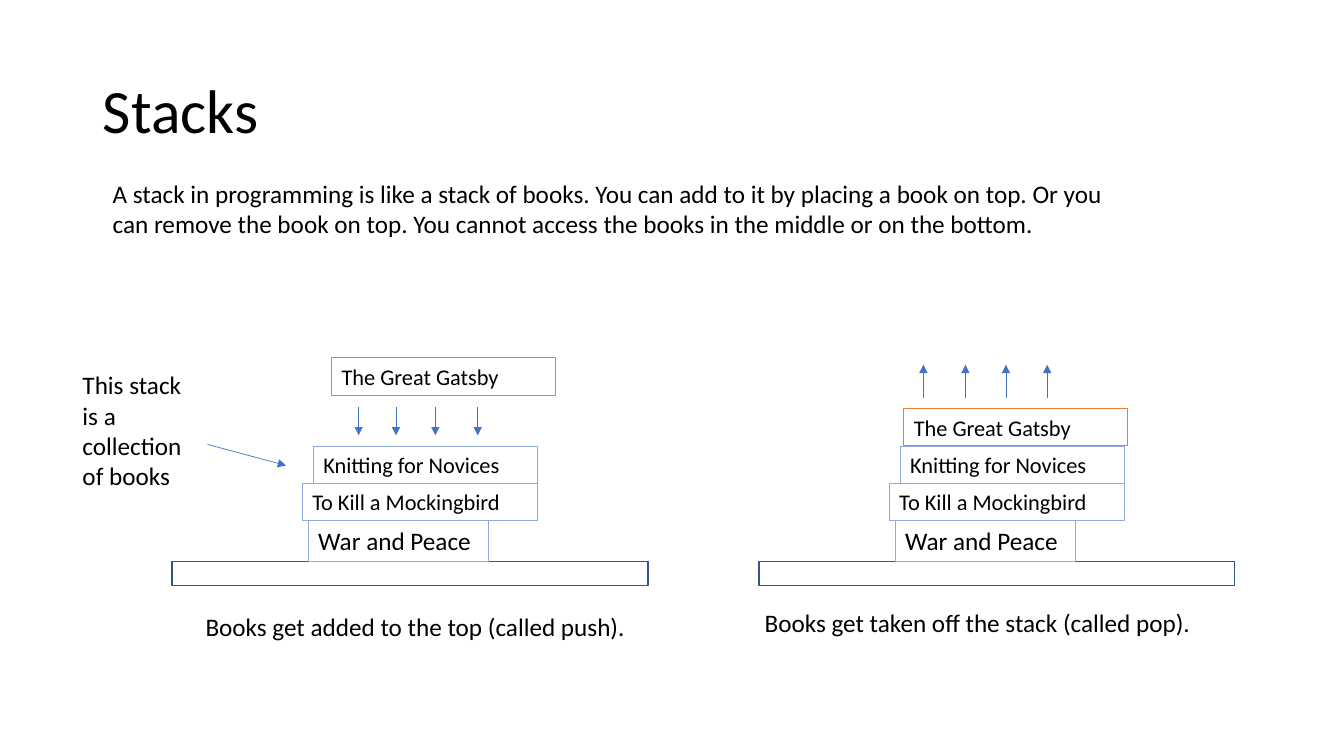
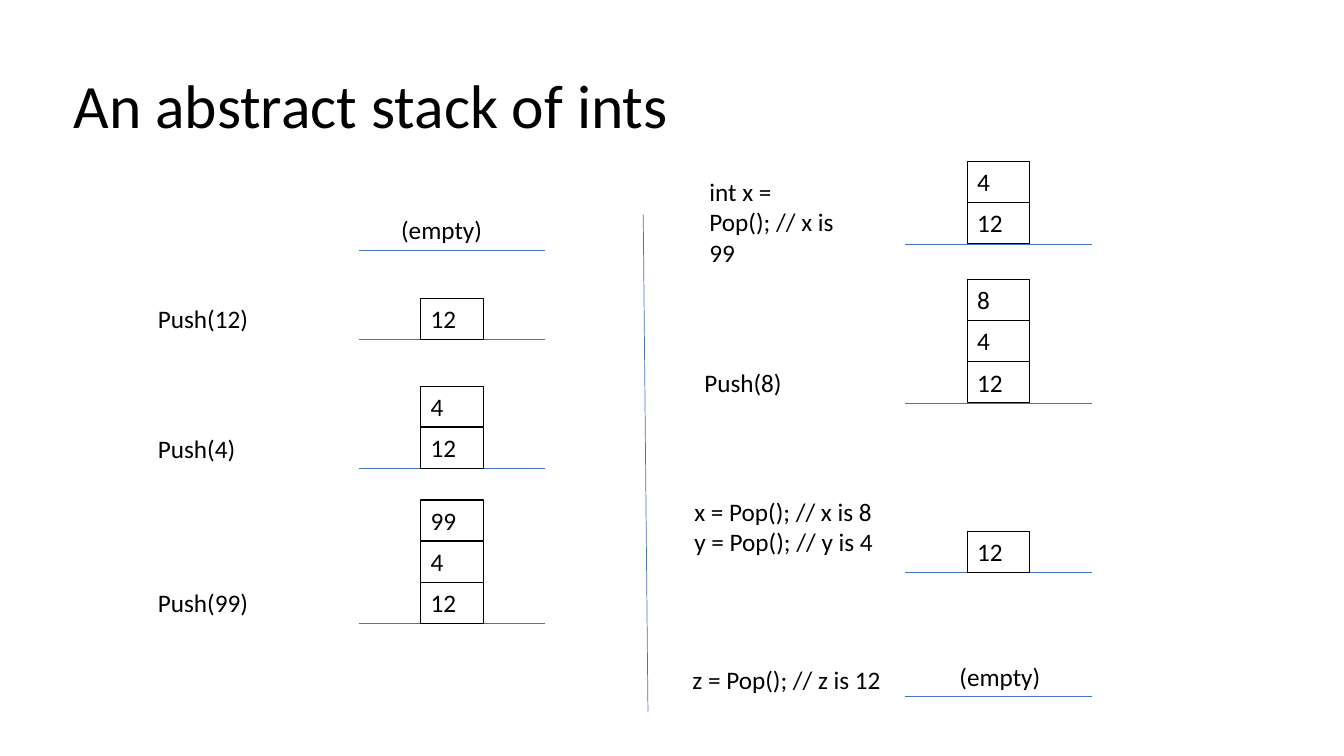
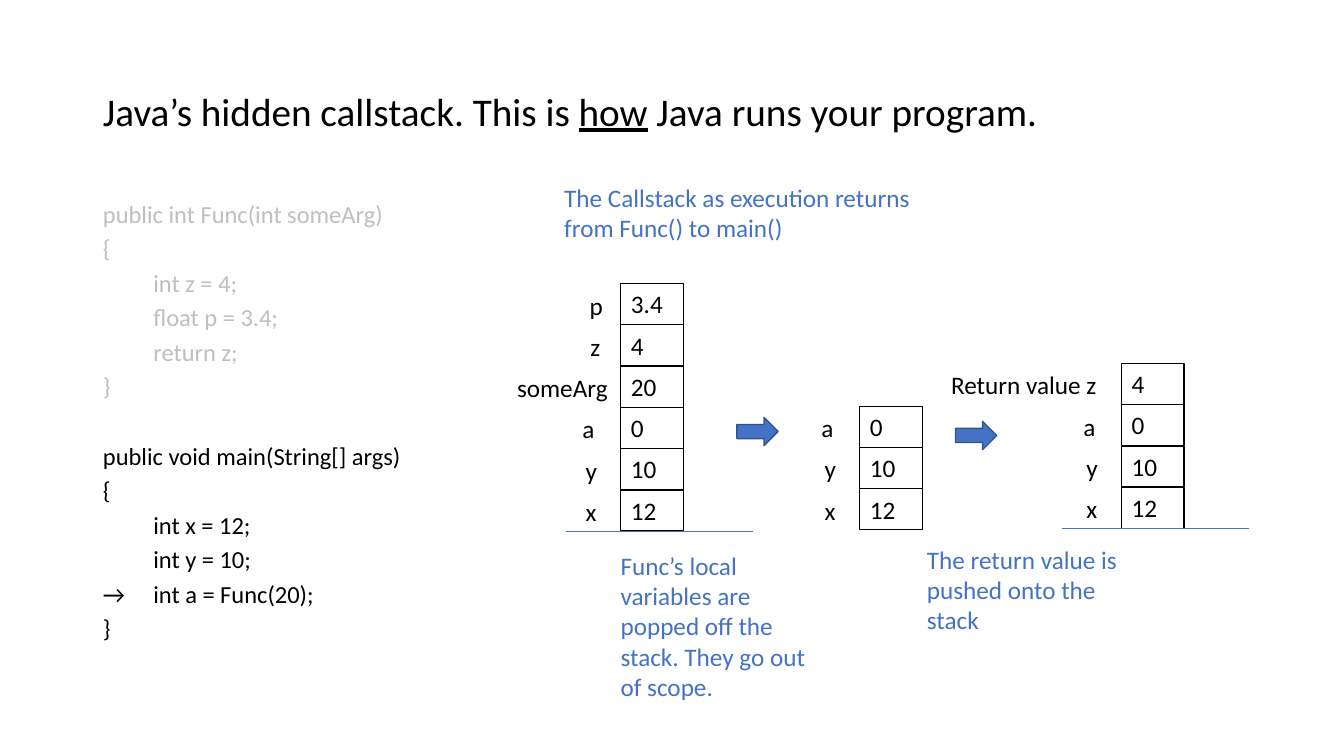
from dataclasses import dataclass

from lxml import etree
from pptx import Presentation
from pptx import util as u
from pptx.dml.color import RGBColor
from pptx.enum import shapes, text
from pptx.oxml.ns import qn


@dataclass(frozen=True)
class Theme:
    font: str = "Calibri"
    # Colours
    black: str = "000000"
    grey: str = "BFBFBF"
    blue: str = "4472C4"
    dark_blue: str = "325491"
    light_blue: str = "8FAADC"
    orange: str = "ED7D31"
    # Type sizes in points
    title: float = 44
    long_title: float = 28
    body: float = 18
    book: float = 16
    code: float = 17.5
    # Line widths in points
    thin: float = 0.5
    edge: float = 0.75
    bold: float = 1


# Stack measures in centimetres
CELL_WIDTH, CELL_HEIGHT, CELL_PITCH = 1.57, 1.03, 1.04
LEDGE_WIDTH = 4.7
LEDGE_INSET = (LEDGE_WIDTH - CELL_WIDTH) / 2


class Deck:
    """Holds the style and the current slide."""

    def __init__(self, theme):
        self.theme = theme
        self.presentation = Presentation()
        self.presentation.slide_width = u.Cm(33.87)
        self.presentation.slide_height = u.Cm(19.05)
        self.slide = None

    # Text
    def add_runs(self, paragraph, runs, size, color):
        for content, underlined in runs:
            run = paragraph.add_run()
            run.text = content
            run.font.name = self.theme.font
            run.font.size = u.Pt(size)
            run.font.color.rgb = RGBColor.from_string(color)
            if underlined:
                run.font.underline = True

    def fill_frame(self, frame, lines, size, color):
        frame.word_wrap = True
        frame.vertical_anchor = text.MSO_ANCHOR.TOP
        frame.auto_size = text.MSO_AUTO_SIZE.SHAPE_TO_FIT_TEXT
        for index, line in enumerate(lines):
            paragraph = frame.add_paragraph() if index else frame.paragraphs[0]
            paragraph.alignment = text.PP_ALIGN.LEFT
            self.add_runs(paragraph, [(line, False)], size, color)

    def label(self, lines, left, top, width, height=CELL_HEIGHT, color=None):
        shape = self.slide.shapes.add_textbox(*map(u.Cm, (left, top, width, height)))
        self.fill_frame(shape.text_frame, lines, self.theme.body, color or self.theme.black)

    # Placeholders
    def place(self, placeholder, left, top, width, height):
        placeholder.left, placeholder.top = u.Cm(left), u.Cm(top)
        placeholder.width, placeholder.height = u.Cm(width), u.Cm(height)
        placeholder.text_frame.word_wrap = True
        placeholder.text_frame.auto_size = text.MSO_AUTO_SIZE.NONE

    def new_slide(self, runs, left=2.34, top=1.02, size=None, with_body=False):
        layout = self.presentation.slide_layouts[1 if with_body else 5]
        self.slide = self.presentation.slides.add_slide(layout)
        title = self.slide.shapes.title
        self.place(title, left, top, 29.21, 3.68)
        title.text_frame.vertical_anchor = text.MSO_ANCHOR.MIDDLE
        paragraph = title.text_frame.paragraphs[0]
        paragraph.alignment = text.PP_ALIGN.LEFT
        paragraph.line_spacing = 0.9
        self.add_runs(paragraph, runs, size or self.theme.title, self.theme.black)

    def code(self, blocks, left, top, width, height):
        body = self.slide.placeholders[1]
        self.place(body, left, top, width, height)
        frame = body.text_frame
        frame.vertical_anchor = text.MSO_ANCHOR.TOP
        paragraph = frame.paragraphs[0]
        for block_index, (color, lines) in enumerate(blocks):
            for line_index, line in enumerate(lines):
                if block_index or line_index:
                    paragraph = frame.add_paragraph()
                paragraph.alignment = text.PP_ALIGN.LEFT
                paragraph.line_spacing = 0.7
                opens_block = block_index and not line_index
                paragraph.space_before = u.Pt(34.7 if opens_block else 10)
                # No bullet, no indent, one tab stop
                properties = paragraph._p.get_or_add_pPr()
                properties.set("marL", "0")
                properties.set("indent", "0")
                etree.SubElement(properties, qn("a:buNone"))
                tabs = etree.SubElement(properties, qn("a:tabLst"))
                etree.SubElement(tabs, qn("a:tab"), pos=str(u.Cm(2.54)), algn="l")
                self.add_runs(paragraph, [(line, False)], self.theme.code, color)

    # Shapes and lines
    def shape(self, kind, left, top, width, height, line, weight, fill=None):
        shape = self.slide.shapes.add_shape(kind, *map(u.Cm, (left, top, width, height)))
        shape.shadow.inherit = False
        if fill:
            shape.fill.solid()
            shape.fill.fore_color.rgb = RGBColor.from_string(fill)
        else:
            shape.fill.background()
        shape.line.color.rgb = RGBColor.from_string(line)
        shape.line.width = u.Pt(weight)
        return shape

    def box(self, content, left, top, width, height, line, size):
        shape = self.shape(shapes.MSO_SHAPE.RECTANGLE, left, top, width, height,
                           line, self.theme.edge)
        self.fill_frame(shape.text_frame, [content], size, self.theme.black)

    def block_arrow(self, left, top):
        self.shape(shapes.MSO_SHAPE.RIGHT_ARROW, left, top, 1.04, 0.71,
                   self.theme.dark_blue, self.theme.bold, self.theme.blue)

    def line(self, start, end, arrow=False):
        connector = self.slide.shapes.add_connector(
            shapes.MSO_CONNECTOR.STRAIGHT, *map(u.Cm, (*start, *end)))
        connector.line.color.rgb = RGBColor.from_string(self.theme.blue)
        connector.line.width = u.Pt(self.theme.thin)
        properties = connector._element.spPr
        if arrow:
            etree.SubElement(properties.find(qn("a:ln")), qn("a:tailEnd"), type="triangle")
        etree.SubElement(properties, qn("a:effectLst"))

    # Stacks
    def ledge(self, left, base):
        self.line((left, base), (left + LEDGE_WIDTH, base))

    def stack(self, values, left, base):
        """Piles cells upward from the base, bottom value first."""
        for level, value in enumerate(values, 1):
            self.box(value, left, base - level * CELL_PITCH, CELL_WIDTH, CELL_HEIGHT,
                     self.theme.black, self.theme.body)

    def bookshelf(self, left, books):
        """Piles books (title, inset, width, height, colour, size) on a shelf."""
        top = 14.15
        self.shape(shapes.MSO_SHAPE.RECTANGLE, left, top, 11.99, 0.61,
                   self.theme.dark_blue, self.theme.bold)
        for title, inset, width, height, color, size in books:
            top -= height
            self.box(title, left + inset, top, width, height, color, size)


def books_slide(deck):
    theme = deck.theme
    deck.new_slide([("Stacks", False)])
    deck.label(["A stack in programming is like a stack of books. You can add to it by "
                "placing a book on top. Or you can remove the book on top. You cannot "
                "access the books in the middle or on the bottom."], 2.59, 4.37, 26.06, 1.8)

    # Shelves
    books = [("War and Peace", 3.43, 4.55, 1.03, theme.light_blue, theme.body),
             ("To Kill a Mockingbird", 3.28, 5.92, 0.94, theme.light_blue, theme.book),
             ("Knitting for Novices", 3.56, 5.64, 0.94, theme.light_blue, theme.book)]
    top_book = ("The Great Gatsby", 3.65, 5.64, 0.94, theme.orange, theme.book)
    deck.bookshelf(4.34, books)
    deck.bookshelf(19.13, books + [top_book])
    deck.box("The Great Gatsby", 8.36, 9.02, 5.64, 0.94, theme.orange, theme.book)

    # Push and pop arrows
    for columns, start, end in (((9.04, 9.98, 10.97, 12.04), 10.26, 10.97),
                                ((23.27, 24.33, 25.35, 26.39), 10.03, 9.19)):
        for x in columns:
            deck.line((x, start), (x, end), arrow=True)

    # Captions
    deck.label(["This stack is a collection of books"], 1.83, 9.19, 3.25, 3.33)
    deck.line((5.23, 11.2), (7.21, 11.73), arrow=True)
    deck.label(["Books get added to the top (called push)."], 4.93, 15.29, 12.07)
    deck.label(["Books get taken off the stack (called pop)."], 19.02, 15.19, 12.07)


def ints_slide(deck):
    deck.new_slide([("An abstract stack of ints", False)], left=1.6, top=0.89)
    deck.line((16.21, 5.41), (16.33, 17.93))

    # Ledges with their stacks, bottom value first
    columns = [(9.04, [(6.3, []), (8.56, ["12"]), (11.81, ["12", "4"]),
                       (15.72, ["12", "4", "99"])]),
               (22.81, [(6.15, ["12", "4"]), (10.16, ["12", "4", "8"]),
                        (14.43, ["12"]), (17.55, [])])]
    for left, states in columns:
        for base, values in states:
            deck.ledge(left, base)
            deck.stack(values, left + LEDGE_INSET, base)
    deck.label(["(empty)"], 9.86, 5.28, 2.77)
    deck.label(["(empty)"], 23.93, 16.54, 2.77)

    # Calls
    for call, top in (("Push(12)", 7.52), ("Push(4)", 10.8), ("Push(99)", 14.68)):
        deck.label([call], 3.73, top, 4.27)
    deck.label(["int x = Pop(); // x is 99"], 17.63, 4.32, 4.27, 1.8)
    deck.label(["Push(8)"], 17.5, 9.12, 4.27)
    deck.label(["x = Pop(); // x is 8", "y = Pop(); // y is 4"], 17.25, 12.37, 5.31, 1.8)
    deck.label(["z = Pop(); // z is 12"], 17.2, 16.61, 5.31)


def callstack_slide(deck):
    theme = deck.theme
    deck.new_slide([("Java’s hidden callstack. This is ", False), ("how", True),
                    (" Java runs your program.", False)],
                   size=theme.long_title, with_body=True)
    deck.code([(theme.grey, ["public int Func(int someArg)", "{", "\tint z = 4;",
                             "\tfloat p = 3.4;", "\treturn z;", "}"]),
               (theme.black, ["public void main(String[] args)", "{", "\tint x = 12;",
                              "\tint y = 10;", "→\tint a = Func(20);", "}"])],
              2.34, 5.08, 14.17, 12.09)

    # Stacks with variable names: distance left of the cell, label width
    names = {"x": (1.14, 1.57), "y": (1.14, 1.57), "a": (1.22, 1.57),
             "someArg": (2.87, 3.23), "z": (1.02, 1.57), "p": (1.04, 1.57),
             "Return value z": (4.55, 4.24)}
    main_frame = [("x", "12"), ("y", "10"), ("a", "0")]
    func_frame = [("someArg", "20"), ("z", "4"), ("p", "3.4")]
    for left, base, variables in ((15.65, 13.39, main_frame + func_frame),
                                  (21.67, 13.36, main_frame),
                                  (28.27, 13.32, main_frame + [("Return value z", "4")])):
        deck.stack([value for _, value in variables], left, base)
        for level, (name, _) in enumerate(variables, 1):
            distance, width = names[name]
            deck.label([name], left - distance, base - level * CELL_PITCH + 0.03, width)
    deck.ledge(14.27, 13.39)
    deck.ledge(26.77, 13.32)
    deck.block_arrow(18.57, 10.52)
    deck.block_arrow(24.08, 10.62)

    # Notes
    deck.label(["The Callstack as execution returns from Func() to main()"],
               13.97, 4.47, 10.57, 1.8, theme.blue)
    deck.label(["Func’s local variables are", "popped off the stack. They go out of scope."],
               15.39, 13.74, 5.46, 4.11, theme.blue)
    deck.label(["The return value is pushed onto the stack"],
               23.11, 13.59, 5.46, 2.57, theme.blue)


def main():
    deck = Deck(Theme())
    for build in (books_slide, ints_slide, callstack_slide):
        build(deck)
    deck.presentation.save("out.pptx")


if __name__ == "__main__":
    main()
